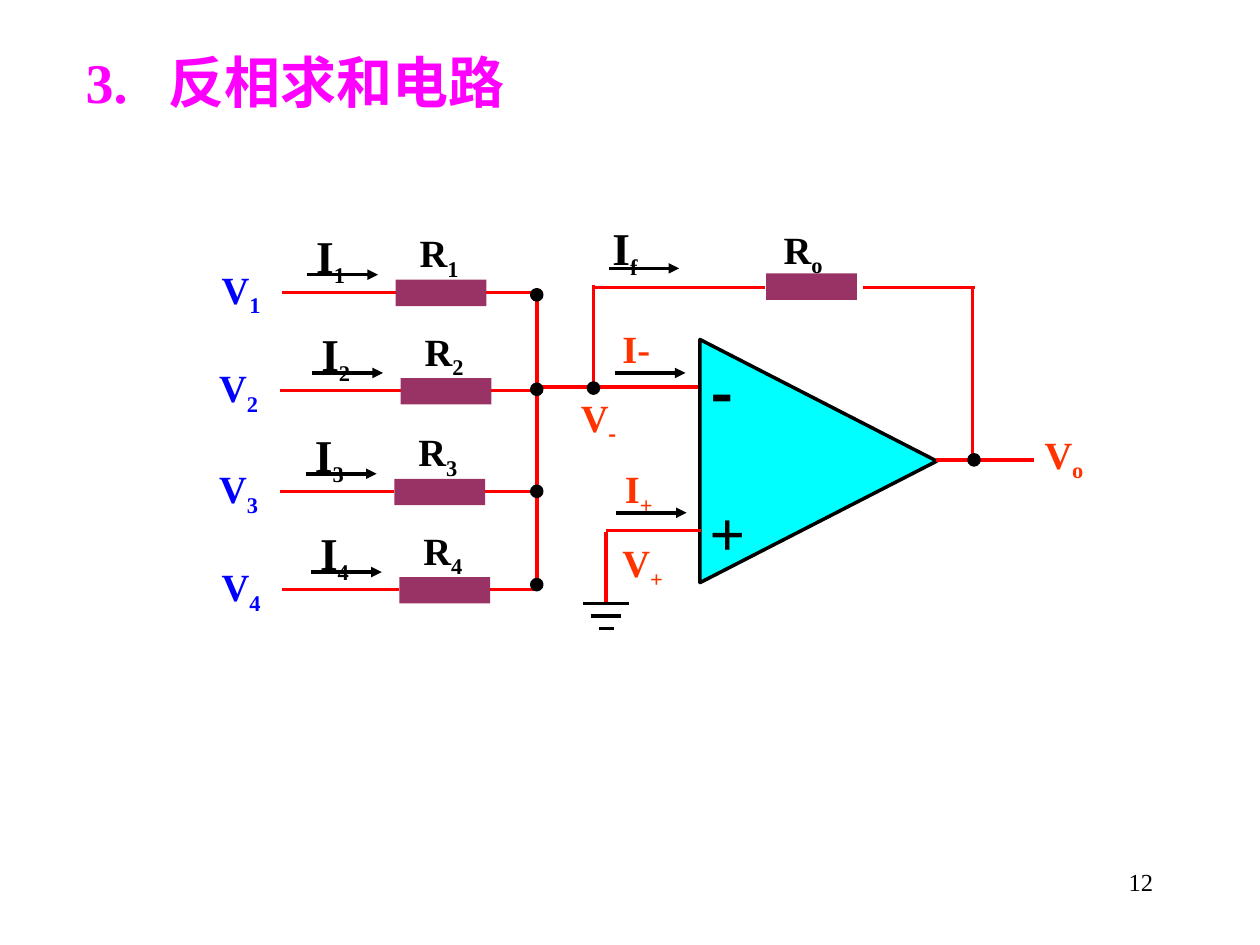
from dataclasses import dataclass

from lxml import etree
from pptx import Presentation
from pptx.dml.color import RGBColor
from pptx.enum import shapes, text
from pptx.oxml import ns
from pptx.util import Inches, Pt


@dataclass(frozen=True)
class Theme:
    font: str = "Times New Roman"
    cjk_font: str = "Noto Sans CJK SC"
    title: str = "FF00FF"
    ink: str = "000000"
    wire: str = "FF0000"
    resistor: str = "993366"
    amplifier: str = "00FFFF"
    source: str = "0000FF"
    terminal: str = "FF3300"
    title_size: int = 32
    sign_size: int = 36
    current_size: int = 26
    label_size: int = 22
    number_size: int = 14
    line_width: int = 2


THEME = Theme()


def style_font(font, color, size=None, bold=True, name=THEME.font):
    font.name = name
    font.bold = bold
    font.color.rgb = RGBColor.from_string(color)
    if size:
        font.size = Pt(size)


def set_title(slide):
    title = slide.shapes.title
    title.left, title.top = Inches(0.58), Inches(0.33)
    title.width, title.height = Inches(8.5), Inches(0.75)
    frame = title.text_frame
    frame.auto_size = text.MSO_AUTO_SIZE.NONE
    frame.vertical_anchor = text.MSO_ANCHOR.TOP
    frame.text = "3.\t反相求和电路"
    paragraph = frame.paragraphs[0]
    paragraph.alignment = text.PP_ALIGN.LEFT
    # Hanging indent sets the gap after the number
    properties = paragraph._p.get_or_add_pPr()
    indent = Inches(0.66)
    properties.set("marL", str(indent))
    properties.set("indent", str(-indent))
    style_font(paragraph.font, THEME.title, THEME.title_size)
    east_asian = etree.SubElement(properties.find(ns.qn("a:defRPr")), ns.qn("a:ea"))
    east_asian.set("typeface", THEME.cjk_font)


def add_label(slide, x, y, base, sub="", color=THEME.ink, size=THEME.label_size,
              font=THEME.font, sub_font=None):
    box = slide.shapes.add_textbox(Inches(x), Inches(y), Inches(0.4), Inches(0.5))
    frame = box.text_frame
    frame.word_wrap = True
    frame.margin_left = frame.margin_right = 0
    frame.margin_top = frame.margin_bottom = 0
    paragraph = frame.paragraphs[0]
    paragraph.alignment = text.PP_ALIGN.JUSTIFY
    same_size = not sub or size == THEME.label_size
    style_font(paragraph.font, color, size if same_size else None, name=font)
    symbol = paragraph.add_run()
    symbol.text = base
    if sub:
        subscript = paragraph.add_run()
        subscript.text = sub
        subscript.font._element.set("baseline", "-25000")
        if sub_font:
            subscript.font.name = sub_font
        if not same_size:
            symbol.font.size = Pt(size)
            subscript.font.size = Pt(THEME.label_size)


def add_line(slide, x1, y1, x2, y2, color=THEME.wire, arrow=False):
    line = slide.shapes.add_connector(
        shapes.MSO_CONNECTOR.STRAIGHT, Inches(x1), Inches(y1), Inches(x2), Inches(y2))
    line.line.color.rgb = RGBColor.from_string(color)
    line.line.width = Pt(THEME.line_width)
    properties = line._element.spPr
    if arrow:
        head = etree.SubElement(properties.find(ns.qn("a:ln")), ns.qn("a:tailEnd"))
        head.set("type", "triangle")
    etree.SubElement(properties, ns.qn("a:effectLst"))


def add_current_arrow(slide, x, y):
    add_line(slide, x, y, x + 0.56, y, THEME.ink, arrow=True)


def add_part(slide, kind, x, y, width, height, fill, outlined=True):
    part = slide.shapes.add_shape(
        kind, Inches(x), Inches(y), Inches(width), Inches(height))
    part.shadow.inherit = False
    part.fill.solid()
    part.fill.fore_color.rgb = RGBColor.from_string(fill)
    if outlined:
        part.line.color.rgb = RGBColor.from_string(THEME.ink)
        part.line.width = Pt(THEME.line_width)
    else:
        part.line.fill.background()
    return part


def add_resistor(slide, x, y):
    add_part(slide, shapes.MSO_SHAPE.RECTANGLE, x, y, 0.72, 0.21,
             THEME.resistor, outlined=False)


def add_node(slide, x, y):
    size = 0.08
    add_part(slide, shapes.MSO_SHAPE.OVAL, x - size / 2, y - size / 2, size, size,
             THEME.ink)


def add_amplifier(slide):
    body = add_part(slide, shapes.MSO_SHAPE.ISOSCELES_TRIANGLE,
                    5.53, 2.72, 1.93, 1.88, THEME.amplifier)
    body.rotation = 90
    add_label(slide, 5.63, 3.92, "+", size=THEME.sign_size)
    add_label(slide, 5.64, 2.81, "-", size=THEME.sign_size, font=THEME.cjk_font)


def add_input_branch(slide, index, start, resistor, y, node_y):
    add_line(slide, start, y, resistor, y)
    add_resistor(slide, resistor, y - 0.1)
    add_line(slide, resistor + 0.72, y, resistor + 1.1, y)
    add_label(slide, resistor + 0.19, y - 0.5, "R", index)
    add_label(slide, resistor - 0.63, y - 0.51, "I", index, size=THEME.current_size)
    add_current_arrow(slide, resistor - 0.7, y - 0.14)
    add_label(slide, start - 0.48, y - 0.21, "V", index, THEME.source)
    add_node(slide, 4.26, node_y)


def add_ground(slide, x, y):
    for level, half_width in enumerate((0.18, 0.12, 0.06)):
        bar_y = y + level * 0.1
        add_line(slide, x - half_width, bar_y, x + half_width, bar_y, THEME.ink)


def add_page_number(slide):
    box = slide.shapes.add_textbox(Inches(7.17), Inches(6.83), Inches(2.08), Inches(0.5))
    box.text_frame.word_wrap = True
    paragraph = box.text_frame.paragraphs[0]
    paragraph.text = "12"
    paragraph.alignment = text.PP_ALIGN.RIGHT
    style_font(paragraph.font, THEME.ink, THEME.number_size, bold=False)


def main():
    deck = Presentation()
    deck.slide_width, deck.slide_height = Inches(10), Inches(7.5)
    slide = deck.slides.add_slide(deck.slide_layouts[5])
    set_title(slide)
    add_amplifier(slide)

    # Wires: output, inputs, feedback loop, ground lead and summing bus
    for wire in (
        (7.43, 3.65, 8.21, 3.65),
        (4.26, 3.07, 5.54, 3.07),
        (4.81, 4.21, 5.56, 4.21),
        (7.72, 3.67, 7.72, 2.28),
        (4.71, 2.26, 4.71, 3.1),
        (4.72, 2.28, 6.07, 2.28),
        (6.85, 2.28, 7.74, 2.28),
        (4.81, 4.22, 4.81, 4.79),
        (4.26, 2.33, 4.26, 4.68),
    ):
        add_line(slide, *wire)
    add_resistor(slide, 6.08, 2.17)
    add_ground(slide, 4.81, 4.79)

    # Currents and voltages around the amplifier
    add_label(slide, 6.22, 1.79, "R", "o")
    add_label(slide, 4.86, 1.75, "I", "f", size=THEME.current_size)
    add_label(slide, 8.29, 3.42, "V", "o", THEME.terminal)
    add_label(slide, 4.94, 2.58, "I-", color=THEME.terminal)
    add_label(slide, 4.96, 3.69, "I", "+", THEME.terminal)
    add_label(slide, 4.94, 4.28, "V", "+", THEME.terminal)
    add_label(slide, 4.61, 3.13, "V", "-", THEME.terminal, sub_font=THEME.cjk_font)
    for arrow in ((4.83, 2.13), (4.88, 2.96), (4.89, 4.07)):
        add_current_arrow(slide, *arrow)
    for node in ((4.71, 3.08), (7.73, 3.65)):
        add_node(slide, *node)

    # Input branches: wire start, resistor left, wire height, node height
    branches = (
        (2.24, 3.14, 2.32, 2.34),
        (2.22, 3.18, 3.1, 3.09),
        (2.22, 3.13, 3.9, 3.9),
        (2.24, 3.17, 4.68, 4.64),
    )
    for number, branch in enumerate(branches, start=1):
        add_input_branch(slide, str(number), *branch)

    add_page_number(slide)
    deck.save("out.pptx")


if __name__ == "__main__":
    main()
